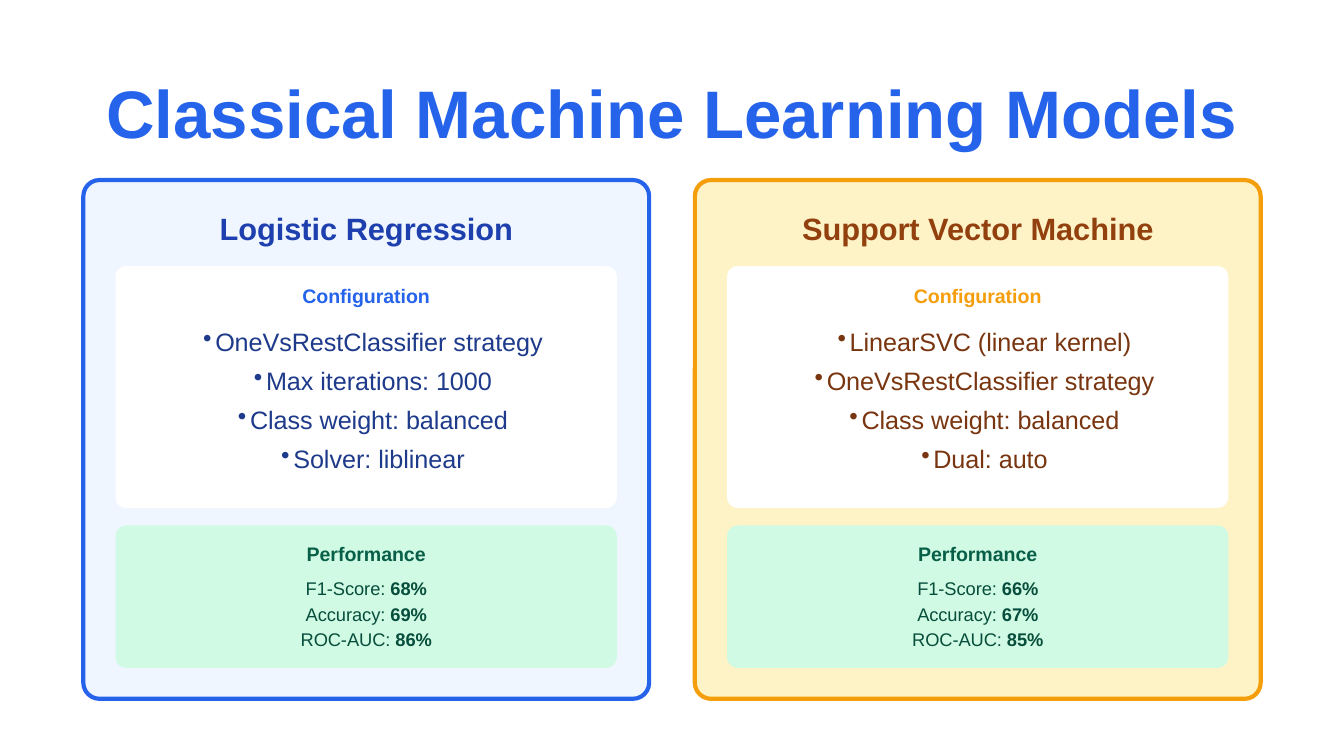
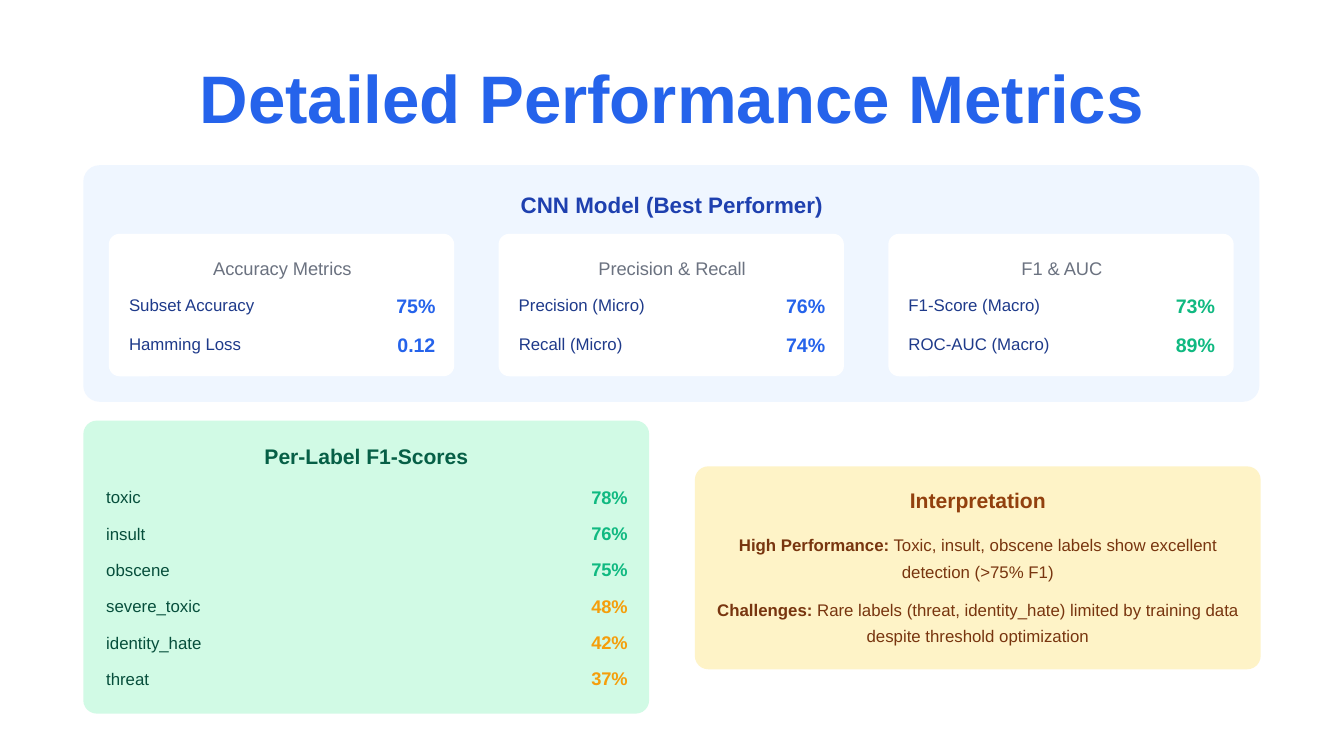
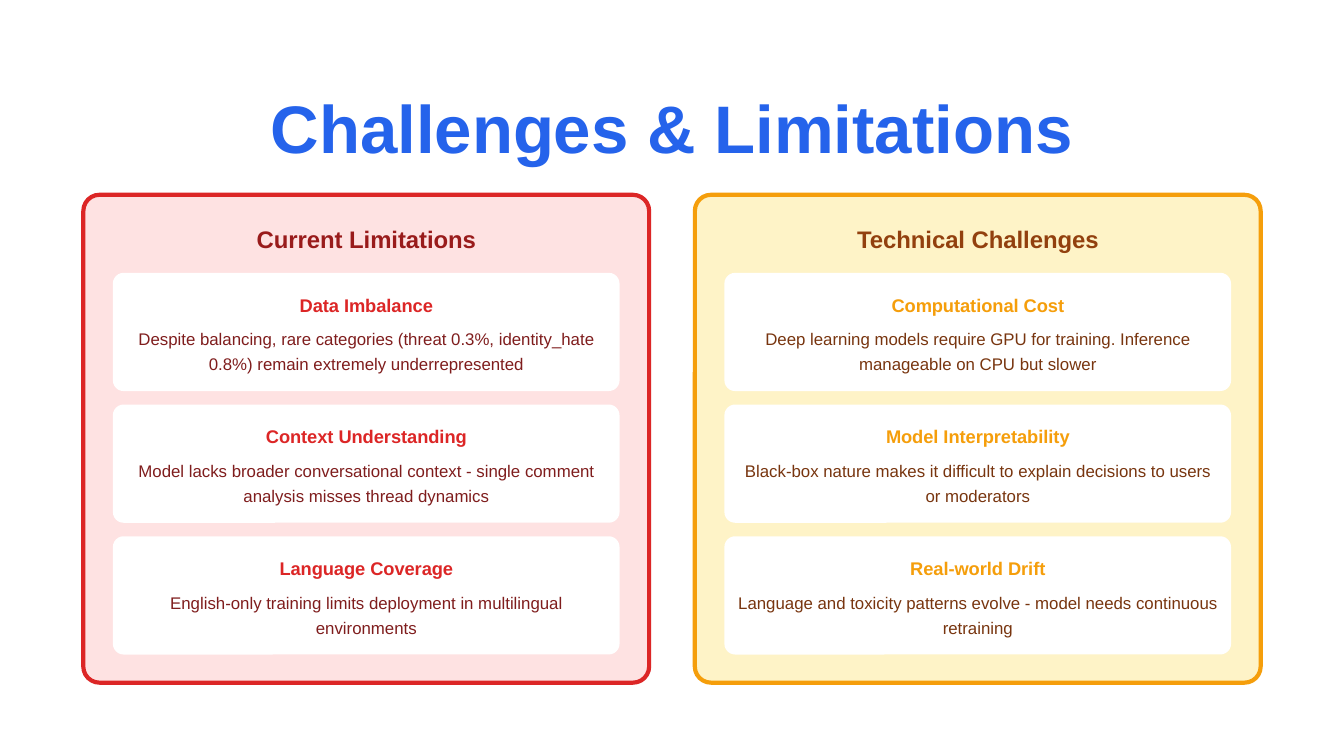
from dataclasses import dataclass, field
from lxml.etree import SubElement
from pptx import Presentation
from pptx.dml.color import RGBColor as Rgb
from pptx.enum.shapes import MSO_SHAPE as Kind
from pptx.enum.text import PP_ALIGN as Align
from pptx.oxml.ns import qn
from pptx.util import Inches, Pt

MODELS = [
    dict(name="Logistic Regression", width=2.24, tone="blue",
         setup=["OneVsRestClassifier strategy", "Max iterations: 1000",
                "Class weight: balanced", "Solver: liblinear"],
         scores=[("F1-Score: ", "68%"), ("Accuracy: ", "69%"), ("ROC-AUC: ", "86%")]),
    dict(name="Support Vector Machine", width=2.68, tone="amber",
         setup=["LinearSVC (linear kernel)", "OneVsRestClassifier strategy",
                "Class weight: balanced", "Dual: auto"],
         scores=[("F1-Score: ", "66%"), ("Accuracy: ", "67%"), ("ROC-AUC: ", "85%")]),
]

METRICS = [
    ("Accuracy Metrics", "blue",
     [("Subset Accuracy", 0.95, "75%"), ("Hamming Loss", 0.85, "0.12")]),
    ("Precision & Recall", "blue",
     [("Precision (Micro)", 0.96, "76%"), ("Recall (Micro)", 0.79, "74%")]),
    ("F1 & AUC", "green",
     [("F1-Score (Macro)", 1.0, "73%"), ("ROC-AUC (Macro)", 1.07, "89%")]),
]

LABELS = [
    ("toxic", 0.26, "78%", "green"),
    ("insult", 0.3, "76%", "green"),
    ("obscene", 0.48, "75%", "green"),
    ("severe_toxic", 0.72, "48%", "amber"),
    ("identity_hate", 0.72, "42%", "amber"),
    ("threat", 0.33, "37%", "amber"),
]

NOTES = [
    ("High Performance:", " Toxic, insult, obscene labels show excellent detection (>75% F1)"),
    ("Challenges:", " Rare labels (threat, identity_hate) limited by training data "
                    "despite threshold optimization"),
]

LIMITS = [
    ("Current Limitations", "red", [
        ("Data Imbalance", "Despite balancing, rare categories (threat 0.3%, identity_hate 0.8%) "
                           "remain extremely underrepresented"),
        ("Context Understanding", "Model lacks broader conversational context - single comment "
                                  "analysis misses thread dynamics"),
        ("Language Coverage", "English-only training limits deployment in multilingual environments"),
    ]),
    ("Technical Challenges", "amber", [
        ("Computational Cost", "Deep learning models require GPU for training. "
                               "Inference manageable on CPU but slower"),
        ("Model Interpretability", "Black-box nature makes it difficult to explain decisions "
                                   "to users or moderators"),
        ("Real-world Drift", "Language and toxicity patterns evolve - model needs "
                             "continuous retraining"),
    ]),
]


@dataclass
class Theme:
    font: str = "Arial"
    white: str = "FFFFFF"
    gray: str = "6B7280"
    edge: float = 2.25
    left: float = 0.62
    col: float = 4.21
    gap: float = 0.34
    wide: float = 8.75
    big: float = 0.12
    mid: float = 0.1
    small: float = 0.08
    tones: dict = field(default_factory=lambda: {
        "blue": dict(fill="EFF6FF", main="2563EB", head="1E40AF", body="1E3A8A"),
        "amber": dict(fill="FEF3C7", main="F59E0B", head="92400E", body="78350F"),
        "green": dict(fill="D1FAE5", main="10B981", head="065F46", body="064E3B"),
        "red": dict(fill="FEE2E2", main="DC2626", head="991B1B", body="7F1D1D"),
    })
    type: dict = field(default_factory=lambda: {
        "title": (36, 36, True),
        "model": (16.5, 18.3, True),
        "column": (12.75, 15.3, True),
        "band": (12, 14.4, True),
        "panel": (11.25, 13.5, True),
        "part": (10.5, 12.6, True),
        "value": (10.5, 14.7, True),
        "item": (9.75, 13.65, True),
        "line": (9.75, 13.65, False),
        "list": (13.5, 21, False),
        "label": (9, 12.6, False),
        "text": (9, 13.5, False),
        "note": (9, 14.4, False),
    })

    def start(self, i):
        return self.left + i * (self.col + self.gap)


T = Theme()


def card(slide, x, y, w, h, fill, round, line=None):
    box = slide.shapes.add_shape(Kind.ROUNDED_RECTANGLE, *map(Inches, (x, y, w, h)))
    box.shadow.inherit = False
    box.adjustments[0] = round / min(w, h)
    box.fill.solid()
    box.fill.fore_color.rgb = Rgb.from_string(fill)
    if line:
        box.line.color.rgb = Rgb.from_string(line)
        box.line.width = Pt(T.edge)
    else:
        box.line.fill.background()


def write(slide, x, y, w, h, rows, style, color, align=Align.CENTER, wrap=True, dot=False):
    size, lead, bold = T.type[style]
    frame = slide.shapes.add_textbox(*map(Inches, (x, y, w, h))).text_frame
    frame.word_wrap = wrap
    frame.margin_left = Inches(0.09 if dot else 0)
    frame.margin_right = frame.margin_top = frame.margin_bottom = 0
    rows = [rows] if isinstance(rows, str) else rows
    for i, row in enumerate(rows):
        para = frame.add_paragraph() if i else frame.paragraphs[0]
        if dot:
            props = para._p.get_or_add_pPr()
            props.set("marL", str(Inches(0.09)))
            props.set("indent", str(-Inches(0.09)))
            SubElement(props, qn("a:buChar"), char="•")
        para.alignment = align
        para.line_spacing = Pt(lead)
        for text, strong in [(row, bold)] if isinstance(row, str) else row:
            run = para.add_run()
            run.text = text
            run.font.name = T.font
            run.font.size = Pt(size)
            run.font.bold = strong
            run.font.color.rgb = Rgb.from_string(color)


def pair(slide, left, right, y, name, width, value, style, dark, tint):
    write(slide, left, y, width, 0.17, name, "label", dark, Align.LEFT, False)
    write(slide, right - 0.3, y - 0.01, 0.3, 0.2, value, style, tint, Align.RIGHT, False)


def page(deck, title, y, w):
    slide = deck.slides.add_slide(deck.slide_layouts[6])
    write(slide, (10 - w) / 2, y, w, 0.5, title, "title", T.tones["blue"]["main"])
    return slide


def models(deck):
    slide = page(deck, "Classical Machine Learning Models", 0.63, 8.6)
    green = T.tones["green"]
    for i, model in enumerate(MODELS):
        x, tone, w = T.start(i), T.tones[model["tone"]], model["width"]
        inner, body = x + 0.24, x + 0.33
        card(slide, x, 1.34, T.col, 3.86, tone["fill"], T.big, tone["main"])
        write(slide, x + (T.col - w) / 2, 1.58, w, 0.25, model["name"], "model", tone["head"])
        card(slide, inner, 1.98, 3.73, 1.8, T.white, T.small)
        write(slide, body, 2.11, 3.55, 0.17, "Configuration", "part", tone["main"])
        write(slide, x + 0.37, 2.36, 3.48, 1.29, model["setup"], "list", tone["body"], dot=True)
        card(slide, inner, 3.91, 3.73, 1.06, green["fill"], T.small)
        write(slide, body, 4.03, 3.55, 0.17, "Performance", "part", green["head"])
        for j, (name, value) in enumerate(model["scores"]):
            write(slide, body, 4.27 + 0.19 * j, 3.55, 0.19,
                  [[(name, False), (value, True)]], "line", green["body"])


def metrics(deck):
    slide = page(deck, "Detailed Performance Metrics", 0.52, 7.17)
    blue, green, amber = (T.tones[n] for n in ("blue", "green", "amber"))
    card(slide, T.left, 1.23, T.wide, 1.76, blue["fill"], T.big)
    write(slide, 0.73, 1.42, 8.54, 0.2, "CNN Model (Best Performer)", "band", blue["head"])
    for i, (name, tone, rows) in enumerate(METRICS):
        x = 0.81 + 2.9 * i
        card(slide, x, 1.74, 2.57, 1.06, T.white, T.small)
        write(slide, x + 0.13, 1.89, 2.32, 0.19, name, "line", T.gray)
        for j, (label, w, value) in enumerate(rows):
            pair(slide, x + 0.15, x + 2.43, 2.17 + 0.29 * j, label, w, value,
                 "value", blue["body"], T.tones[tone]["main"])

    x = T.start(0)
    card(slide, x, 3.13, T.col, 2.18, green["fill"], T.mid)
    write(slide, x + 0.13, 3.3, 3.95, 0.19, "Per-Label F1-Scores", "panel", green["head"])
    for j, (label, w, value, tone) in enumerate(LABELS):
        pair(slide, x + 0.17, x + 4.05, 3.6 + 0.27 * j, label, w, value,
             "item", green["body"], T.tones[tone]["main"])

    x = T.start(1)
    card(slide, x, 3.47, T.col, 1.51, amber["fill"], T.mid)
    write(slide, x + 0.13, 3.63, 3.95, 0.19, "Interpretation", "panel", amber["head"])
    for j, (lead, rest) in enumerate(NOTES):
        write(slide, x + 0.13, 3.93 + 0.48 * j, 3.95, 0.4,
              [[(lead, True), (rest, False)]], "note", amber["body"])


def limits(deck):
    slide = page(deck, "Challenges & Limitations", 0.74, 6.1)
    for i, (name, key, items) in enumerate(LIMITS):
        x, tone = T.start(i), T.tones[key]
        card(slide, x, 1.45, T.col, 3.63, tone["fill"], T.big, tone["main"])
        write(slide, x + 0.18, 1.67, 3.85, 0.21, name, "column", tone["head"])
        for j, (head, text) in enumerate(items):
            y = 2.03 + 0.98 * j
            card(slide, x + 0.22, y, 3.77, 0.88, T.white, T.small)
            write(slide, x + 0.31, y + 0.13, 3.59, 0.19, head, "item", tone["main"])
            write(slide, x + 0.31, y + 0.38, 3.59, 0.38, text, "text", tone["body"])


def main():
    deck = Presentation()
    deck.slide_width = Inches(10)
    deck.slide_height = deck.slide_width * 9 // 16
    for build in (models, metrics, limits):
        build(deck)
    deck.save("out.pptx")


if __name__ == "__main__":
    main()
